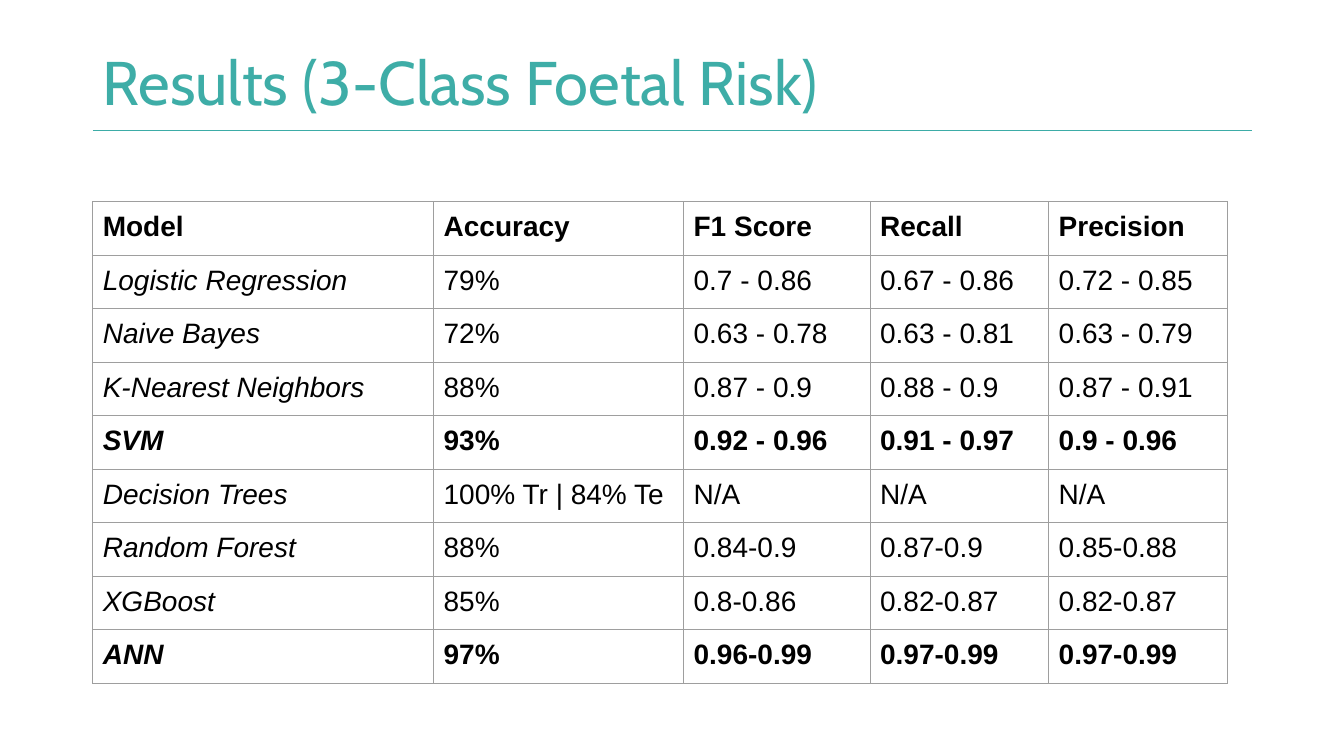
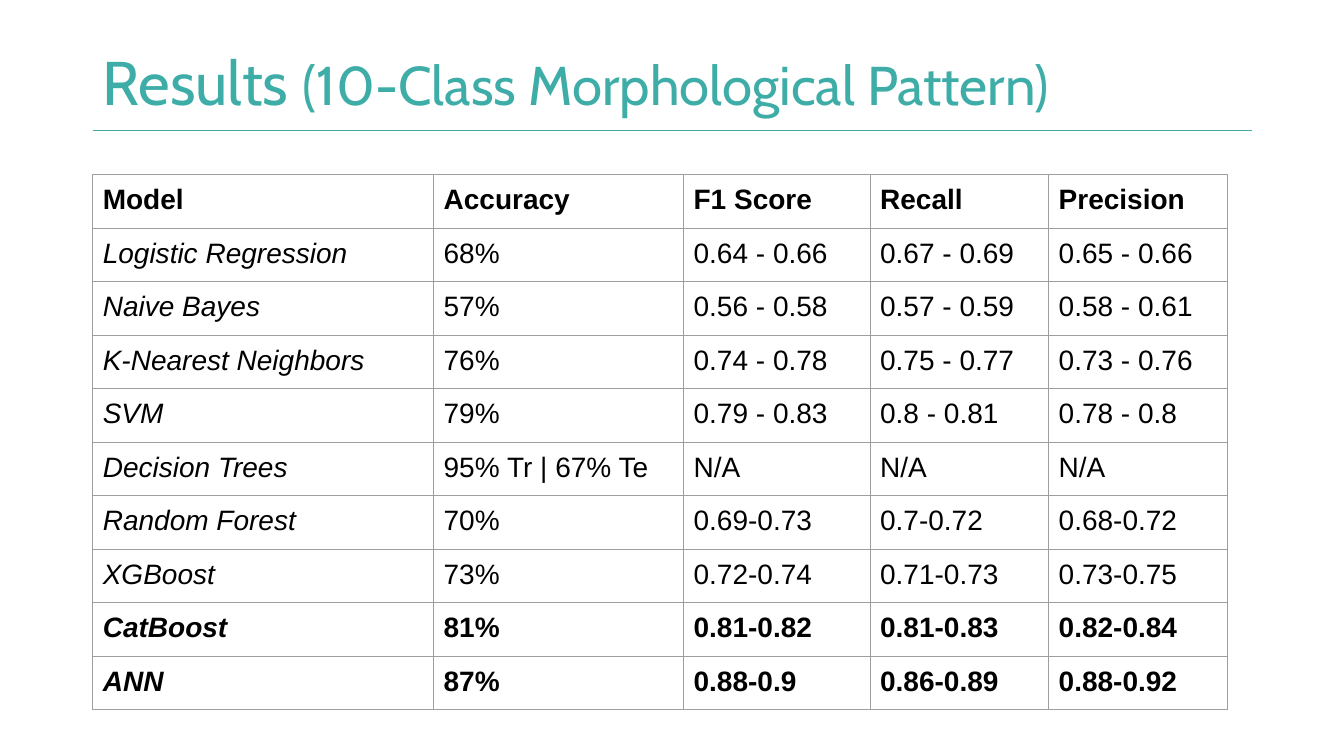
from pptx import Presentation
from pptx.dml.color import RGBColor
from pptx.enum.shapes import MSO_CONNECTOR as Connector
from pptx.enum.text import MSO_ANCHOR as Anchor
from pptx.oxml import parse_xml
from pptx.oxml.ns import nsdecls
from pptx.util import Cm, Pt

COLORS = {"title": "3EADA7", "rule": "3DACA7", "text": "000000", "grid": "9E9E9E"}

HEADERS = ("Model", "Accuracy", "F1 Score", "Recall", "Precision")
RESULTS = [
    {
        "title": [("Results (3-Class Foetal Risk)", 44)],
        "table_top": 5.08,
        "best": ("SVM", "ANN"),
        "rows": [
            ("Logistic Regression", "79%", "0.7 - 0.86", "0.67 - 0.86", "0.72 - 0.85"),
            ("Naive Bayes", "72%", "0.63 - 0.78", "0.63 - 0.81", "0.63 - 0.79"),
            ("K-Nearest Neighbors", "88%", "0.87 - 0.9", "0.88 - 0.9", "0.87 - 0.91"),
            ("SVM", "93%", "0.92 - 0.96", "0.91 - 0.97", "0.9 - 0.96"),
            ("Decision Trees", "100% Tr | 84% Te", "N/A", "N/A", "N/A"),
            ("Random Forest", "88%", "0.84-0.9", "0.87-0.9", "0.85-0.88"),
            ("XGBoost", "85%", "0.8-0.86", "0.82-0.87", "0.82-0.87"),
            ("ANN", "97%", "0.96-0.99", "0.97-0.99", "0.97-0.99"),
        ],
    },
    {
        "title": [("Results ", 44), ("(10-Class Morphological Pattern)", 39)],
        "table_top": 4.4,
        "best": ("CatBoost", "ANN"),
        "rows": [
            ("Logistic Regression", "68%", "0.64 - 0.66", "0.67 - 0.69", "0.65 - 0.66"),
            ("Naive Bayes", "57%", "0.56 - 0.58", "0.57 - 0.59", "0.58 - 0.61"),
            ("K-Nearest Neighbors", "76%", "0.74 - 0.78", "0.75 - 0.77", "0.73 - 0.76"),
            ("SVM", "79%", "0.79 - 0.83", "0.8 - 0.81", "0.78 - 0.8"),
            ("Decision Trees", "95% Tr | 67% Te", "N/A", "N/A", "N/A"),
            ("Random Forest", "70%", "0.69-0.73", "0.7-0.72", "0.68-0.72"),
            ("XGBoost", "73%", "0.72-0.74", "0.71-0.73", "0.73-0.75"),
            ("CatBoost", "81%", "0.81-0.82", "0.81-0.83", "0.82-0.84"),
            ("ANN", "87%", "0.88-0.9", "0.86-0.89", "0.88-0.92"),
        ],
    },
]

# Lengths in centimetres
LEFT = 2.34
RULE_RIGHT, RULE_Y = 31.55, 3.3
TITLE_TOP, TITLE_WIDTH, TITLE_HEIGHT = 1.02, 27.66, 2.28
COLUMN_WIDTHS = (8.59, 6.3, 4.7, 4.5, 4.5)
ROW_HEIGHT = 1.29

TITLE_FRAME = {
    "word_wrap": True, "vertical_anchor": Anchor.MIDDLE,
    "margin_left": Cm(0.25), "margin_right": Cm(0.25),
    "margin_top": Cm(0.13), "margin_bottom": Cm(0.13),
}
CELL_FORMAT = {
    "vertical_anchor": Anchor.TOP,
    **{f"margin_{side}": Cm(0.25) for side in ("left", "right", "top", "bottom")},
}


def set_format(target, values):
    for name, value in values.items():
        setattr(target, name, value)


def add_span(para, text, color, **font_values):
    span = para.add_run()
    span.text = text
    set_format(span.font, font_values)
    span.font.color.rgb = RGBColor.from_string(COLORS[color])


def add_title(page, spans):
    """Write the title and draw the thin rule below it."""
    rule = page.shapes.add_connector(
        Connector.STRAIGHT, Cm(LEFT), Cm(RULE_Y), Cm(RULE_RIGHT), Cm(RULE_Y))
    rule.line.color.rgb = RGBColor.from_string(COLORS["rule"])
    rule.line.width = Pt(0.75)
    rule._element.spPr.append(parse_xml(f"<a:effectLst {nsdecls('a')}/>"))

    box = page.shapes.add_textbox(
        Cm(LEFT), Cm(TITLE_TOP), Cm(TITLE_WIDTH), Cm(TITLE_HEIGHT))
    set_format(box.text_frame, TITLE_FRAME)
    para = box.text_frame.paragraphs[0]
    para.line_spacing = 0.9
    for text, size in spans:
        add_span(para, text, "title", name="Cabin", size=Pt(size))


def add_borders(cell):
    properties = cell._tc.get_or_add_tcPr()
    for side in "LRTB":
        properties.append(parse_xml(
            f'<a:ln{side} {nsdecls("a")} w="{Pt(0.75)}"><a:solidFill>'
            f'<a:srgbClr val="{COLORS["grid"]}"/></a:solidFill></a:ln{side}>'))


def add_results_table(page, top, rows, best):
    """Draw the models in italics, with the header and the best models in bold."""
    lines = [HEADERS, *rows]
    table = page.shapes.add_table(
        len(lines), len(HEADERS), Cm(LEFT), Cm(top),
        Cm(sum(COLUMN_WIDTHS)), Cm(ROW_HEIGHT * len(lines))).table
    set_format(table, {"first_row": False, "horz_banding": False})
    for column, width in zip(table.columns, COLUMN_WIDTHS):
        column.width = Cm(width)
    for row_index, line in enumerate(lines):
        table.rows[row_index].height = Cm(ROW_HEIGHT)
        is_header = row_index == 0
        for column_index, text in enumerate(line):
            cell = table.cell(row_index, column_index)
            set_format(cell, CELL_FORMAT)
            add_borders(cell)
            cell.fill.background()
            add_span(cell.text_frame.paragraphs[0], text, "text",
                     name="Arial", size=Pt(20),
                     bold=is_header or line[0] in best,
                     italic=column_index == 0 and not is_header)


def main():
    deck = Presentation()
    deck.slide_width, deck.slide_height = Cm(33.87), Cm(19.05)
    for result in RESULTS:
        page = deck.slides.add_slide(deck.slide_layouts[6])
        add_title(page, result["title"])
        add_results_table(page, result["table_top"], result["rows"], result["best"])
    deck.save("out.pptx")


if __name__ == "__main__":
    main()
